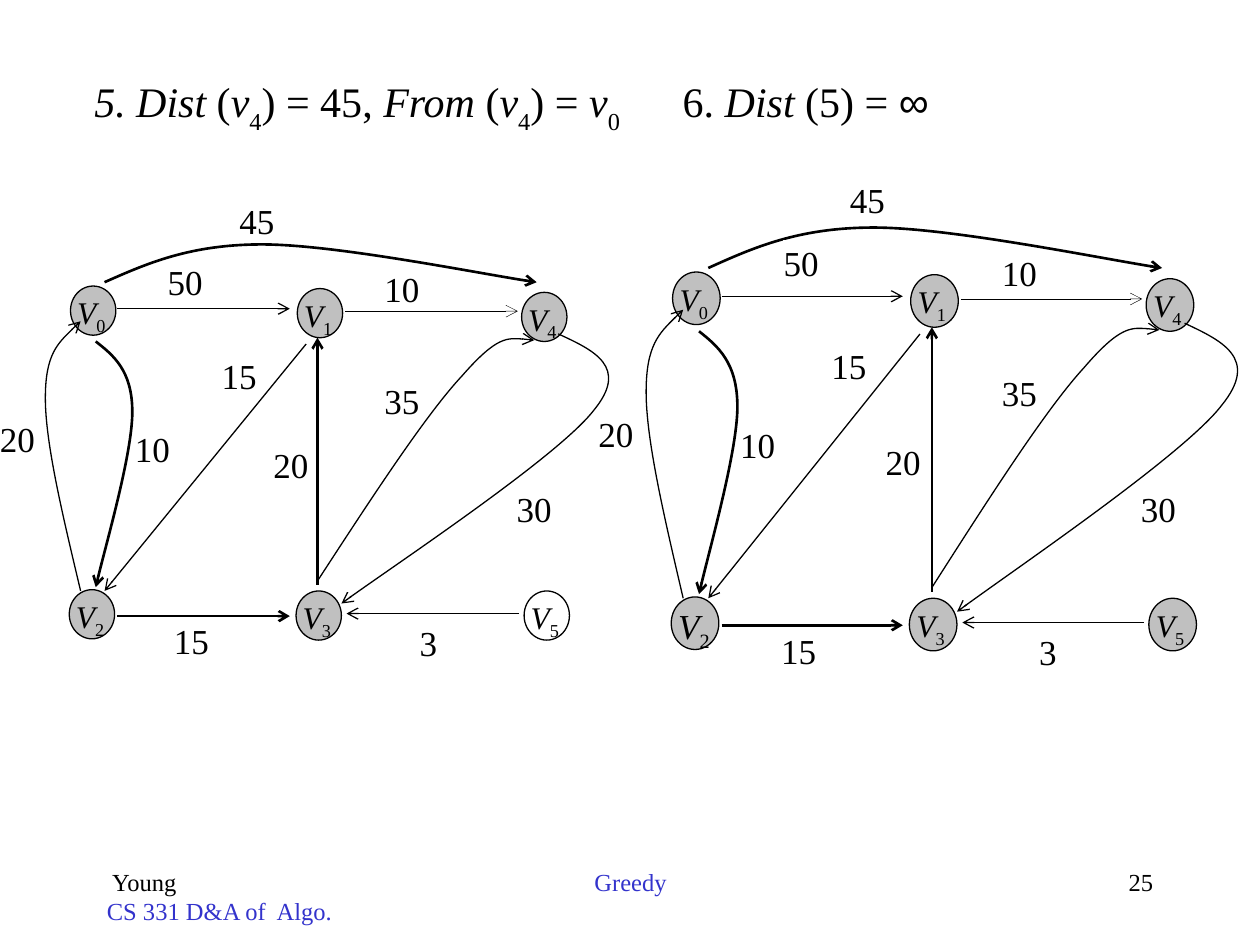
from dataclasses import dataclass
from typing import NamedTuple, Optional

from lxml import etree
from pptx import Presentation
from pptx import util as u
from pptx.dml.color import RGBColor
from pptx.enum import shapes, text
from pptx.oxml.ns import qn


@dataclass(frozen=True)
class Theme:
    ink: RGBColor = RGBColor(0, 0, 0)
    paper: RGBColor = RGBColor(255, 255, 255)
    visited: RGBColor = RGBColor(0xC0, 0xC0, 0xC0)
    accent: RGBColor = RGBColor(0x33, 0x33, 0xCC)
    face: str = "Times New Roman"
    symbol_face: str = "Arial"
    title: float = 24
    weight: float = 20
    vertex: float = 18
    footer: float = 14
    thin: float = 0.25
    normal: float = 0.75
    chosen: float = 1.5


THEME = Theme()


class Run(NamedTuple):
    text: str
    italic: bool = False
    drop: int = 0  # subscript depth in percent
    face: Optional[str] = None


class Grid(NamedTuple):
    """Places columns and rows of a graph on the slide, in inches."""
    left: float
    top: float
    column: float
    row: float

    def point(self, column, row):
        return (u.Inches(self.left + column * self.column),
                u.Inches(self.top + row * self.row))

    def box(self, column, row, columns, rows):
        return (*self.point(column, row),
                u.Inches(columns * self.column), u.Inches(rows * self.row))


class Vertex(NamedTuple):
    index: int
    column: float
    row: float


class Edge(NamedTuple):
    """Two points make a line; more make cubic curves. The arrow is at the end."""
    points: tuple
    width: float = THEME.normal


class Weight(NamedTuple):
    value: int
    column: float
    row: float


@dataclass(frozen=True)
class Graph:
    grid: Grid
    visited: range
    fifty: Weight
    large_vertex: Optional[int] = None


VERTEX_SIZE = (0.36, 0.39)
WEIGHT_SIZE = (0.3, 0.32)

VERTICES = (Vertex(0, 0.56, 2.27), Vertex(1, 2.36, 2.29), Vertex(2, 0.55, 4.68),
            Vertex(3, 2.35, 4.69), Vertex(4, 4.14, 2.32), Vertex(5, 4.16, 4.69))

EDGES = (
    Edge(((0.83, 2.24), (1.17, 2.09), (1.51, 1.94), (2.08, 1.94),
          (2.65, 1.94), (3.9, 2.19), (4.26, 2.24)), THEME.chosen),
    Edge(((0.93, 2.45), (2.3, 2.45))),
    Edge(((2.74, 2.47), (4.11, 2.47)), THEME.thin),
    Edge(((0.64, 4.69), (0.5, 4.1), (0.36, 3.52), (0.36, 3.16),
          (0.36, 2.81), (0.5, 2.68), (0.64, 2.55))),
    Edge(((0.76, 2.71), (0.9, 2.82), (1.05, 2.94), (1.05, 3.27),
          (1.05, 3.59), (0.81, 4.43), (0.76, 4.66)), THEME.chosen),
    Edge(((0.93, 4.89), (2.3, 4.89)), THEME.chosen),
    Edge(((4.12, 4.87), (2.75, 4.87))),
    Edge(((2.52, 4.64), (2.52, 2.68)), THEME.chosen),
    Edge(((2.43, 2.73), (0.83, 4.69))),
    Edge(((2.52, 4.61), (2.95, 3.95), (3.38, 3.29), (3.67, 2.98),
          (3.95, 2.66), (4.09, 2.68), (4.24, 2.7))),
    Edge(((4.43, 2.65), (4.71, 2.78), (5, 2.91), (4.71, 3.26),
          (4.43, 3.62), (3.05, 4.54), (2.71, 4.79))),
)

WEIGHTS = (Weight(45, 1.9, 1.58), Weight(10, 3.05, 2.12), Weight(20, 0, 3.31),
           Weight(10, 1.07, 3.39), Weight(15, 1.76, 2.81), Weight(20, 2.17, 3.52),
           Weight(15, 1.38, 4.92), Weight(35, 3.05, 3.01), Weight(30, 4.1, 3.87),
           Weight(3, 3.33, 4.93))

GRAPHS = (
    Graph(Grid(0, 0, 1, 1), range(5), Weight(50, 1.33, 2.07)),
    Graph(Grid(4.75, -0.27, 1.05, 1.07), range(6), Weight(50, 1.4, 2.04), large_vertex=2),
)

TITLE = (Run("5. Dist", True), Run(" ("), Run("v", True), Run("4", drop=30),
         Run(") = 45, "), Run("From", True), Run(" ("), Run("v", True),
         Run("4", drop=30), Run(") = "), Run("v", True), Run("0", drop=30),
         Run("\t6. "), Run("Dist", True), Run(" (5) = "),
         Run("∞", face=THEME.symbol_face))


def write(paragraph, runs, size: float, color=THEME.ink, align=text.PP_ALIGN.LEFT) -> None:
    paragraph.alignment = align
    paragraph.font.name = THEME.face
    paragraph.font.size = u.Pt(size)
    paragraph.font.color.rgb = color
    for part in runs:
        run = paragraph.add_run()
        run.text = part.text
        if part.italic:
            run.font.italic = True
        if part.face:
            run.font.name = part.face
        if part.drop:
            run._r.get_or_add_rPr().set("baseline", str(-1000 * part.drop))


def add_label(group, kind, box, fill, line, line_width: float, runs, size: float) -> None:
    label = group.shapes.add_shape(kind, *box)
    label.shadow.inherit = False
    label.fill.solid()
    label.fill.fore_color.rgb = fill
    label.line.color.rgb = line
    label.line.width = u.Pt(line_width)
    frame = label.text_frame
    frame.margin_left = frame.margin_top = frame.margin_right = frame.margin_bottom = 0
    frame.vertical_anchor = text.MSO_ANCHOR.TOP
    write(frame.paragraphs[0], runs, size)


def add_curve(group, points):
    """Draw an open outline whose points after the first are cubic triples."""
    builder = group.shapes.build_freeform(*points[0])
    builder.add_line_segments(points[1:], close=False)
    curve = builder.convert_to_shape()
    curve.fill.background()
    curve.shadow.inherit = False
    outline = next(curve._element.iter(qn("a:path")))
    segments = outline.findall(qn("a:lnTo"))
    for first in range(0, len(segments), 3):
        cubic = etree.SubElement(outline, qn("a:cubicBezTo"))
        for segment in segments[first:first + 3]:
            cubic.append(segment[0])
            outline.remove(segment)
    return curve


def add_edge(group, grid: Grid, edge: Edge) -> None:
    points = [grid.point(*point) for point in edge.points]
    straight = len(points) == 2
    if straight:
        arrow = group.shapes.add_connector(
            shapes.MSO_CONNECTOR.STRAIGHT, *points[0], *points[1])
    else:
        arrow = add_curve(group, points)
    arrow.line.color.rgb = THEME.ink
    arrow.line.width = u.Pt(edge.width)
    properties = arrow._element.spPr
    etree.SubElement(properties.find(qn("a:ln")), qn("a:tailEnd"), type="arrow")
    if straight:
        etree.SubElement(properties, qn("a:effectLst"))


def add_graph(slide, graph: Graph) -> None:
    group, grid = slide.shapes.add_group_shape(), graph.grid
    for vertex in VERTICES:
        fill = THEME.visited if vertex.index in graph.visited else THEME.paper
        size = THEME.weight if vertex.index == graph.large_vertex else THEME.vertex
        add_label(group, shapes.MSO_SHAPE.OVAL,
                  grid.box(vertex.column, vertex.row, *VERTEX_SIZE), fill, THEME.ink, 0,
                  (Run("V", True), Run(str(vertex.index), drop=25)), size)
    for edge in EDGES:
        add_edge(group, grid, edge)
    for weight in (*WEIGHTS, graph.fifty):
        add_label(group, shapes.MSO_SHAPE.RECTANGLE,
                  grid.box(weight.column, weight.row, *WEIGHT_SIZE), THEME.paper,
                  THEME.paper, THEME.normal, (Run(str(weight.value)),), THEME.weight)


def add_text(slide, left: float, top: float, width: float, height: float):
    box = slide.shapes.add_textbox(*map(u.Inches, (left, top, width, height)))
    box.text_frame.word_wrap = True
    return box.text_frame


def add_title(slide) -> None:
    frame = add_text(slide, 0.65, 0.55, 8.93, 0.57)
    frame.auto_size = text.MSO_AUTO_SIZE.SHAPE_TO_FIT_TEXT
    paragraph = frame.paragraphs[0]
    stops = etree.Element(qn("a:tabLst"))
    etree.SubElement(stops, qn("a:tab"), pos=str(u.Inches(4.67)), algn="l")
    write(paragraph, TITLE, THEME.title)
    paragraph._p.get_or_add_pPr().insert(0, stops)


def add_footers(slide) -> None:
    row = dict(top=6.83, height=0.5)
    author = add_text(slide, left=0.75, width=2.08, **row)
    write(author.paragraphs[0], (Run(" Young"),), THEME.footer)
    write(author.add_paragraph(), (Run("CS 331 D&A of  Algo."),), THEME.footer, THEME.accent)
    topic = add_text(slide, left=3.42, width=3.17, **row)
    write(topic.paragraphs[0], (Run("Greedy"),), THEME.footer, THEME.accent,
          text.PP_ALIGN.CENTER)
    number = add_text(slide, left=7.17, width=2.08, **row)
    write(number.paragraphs[0], (Run("25"),), THEME.footer, align=text.PP_ALIGN.RIGHT)


def main() -> None:
    deck = Presentation()
    deck.slide_width, deck.slide_height = u.Inches(10), u.Inches(7.5)
    slide = deck.slides.add_slide(deck.slide_layouts[6])
    add_footers(slide)
    add_title(slide)
    for graph in GRAPHS:
        add_graph(slide, graph)
    deck.save("out.pptx")


if __name__ == "__main__":
    main()
